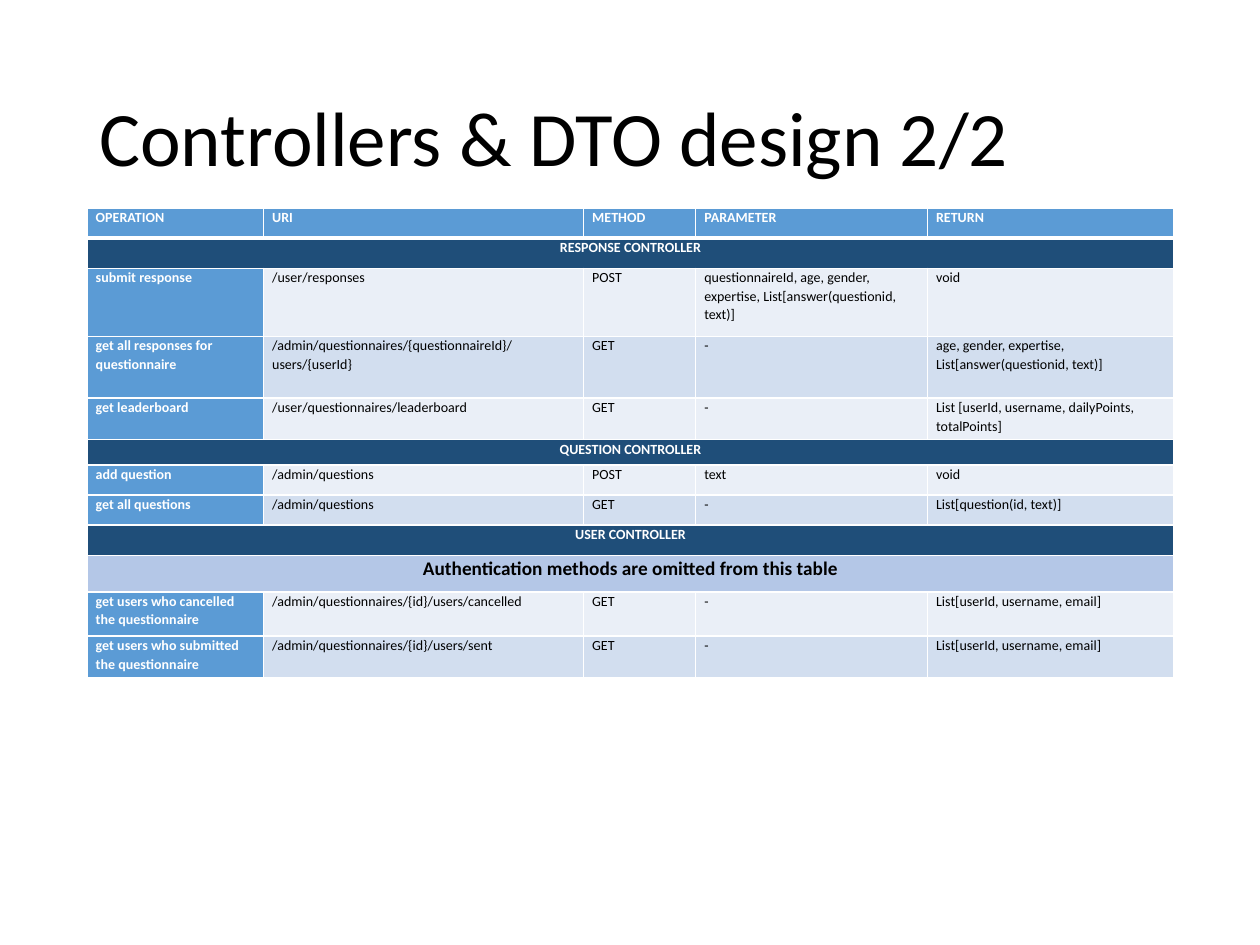
from lxml import etree
from pptx import Presentation
from pptx.dml.color import RGBColor
from pptx.enum.text import MSO_ANCHOR, PP_ALIGN
from pptx.oxml.ns import qn
from pptx.util import Inches, Pt

LEFT, CENTER = PP_ALIGN.LEFT, PP_ALIGN.CENTER
MIDDLE = MSO_ANCHOR.MIDDLE

BLACK = RGBColor(0x00, 0x00, 0x00)
WHITE = RGBColor(0xFF, 0xFF, 0xFF)
BLUE = RGBColor(0x5B, 0x9B, 0xD5)
NAVY = RGBColor(0x1F, 0x4E, 0x79)
NOTE_BLUE = RGBColor(0xB4, 0xC7, 0xE7)
BANDS = (RGBColor(0xEA, 0xEF, 0xF7), RGBColor(0xD2, 0xDE, 0xEF))

COLUMN_WIDTHS = (1.4, 2.54, 0.89, 1.84, 1.96)
HEADERS = ("OPERATION", "URI", "METHOD", "PARAMETER", "RETURN")
HEADER_HEIGHT = 0.24
NOTE = "Authentication methods are omitted from this table"

# Each section: title, title height, note (text, height) or None, operations (height, cells)
SECTIONS = (
    ("RESPONSE CONTROLLER", 0.24, None, (
        (0.54, ("submit response", "/user/responses", "POST",
                "questionnaireId, age, gender, expertise, List[answer(questionid, text)]", "void")),
        (0.49, ("get all responses for questionnaire",
                "/admin/questionnaires/{questionnaireId}/ users/{userId}", "GET", "-",
                "age, gender, expertise, List[answer(questionid, text)]")),
        (0.33, ("get leaderboard", "/user/questionnaires/leaderboard", "GET", "-",
                "List [userId, username, dailyPoints, totalPoints]")),
    )),
    ("QUESTION CONTROLLER", 0.2, None, (
        (0.24, ("add question", "/admin/questions", "POST", "text", "void")),
        (0.24, ("get all questions", "/admin/questions", "GET", "-", "List[question(id, text)]")),
    )),
    ("USER CONTROLLER", 0.24, (NOTE, 0.29), (
        (0.35, ("get users who cancelled the questionnaire",
                "/admin/questionnaires/{id}/users/cancelled", "GET", "-",
                "List[userId, username, email]")),
        (0.33, ("get users who submitted the questionnaire",
                "/admin/questionnaires/{id}/users/sent", "GET", "-",
                "List[userId, username, email]")),
    )),
)


class SlideBuilder:
    """Holds the text style and the current page."""

    font_name = "Calibri"

    def __init__(self, page):
        self.page = page

    def style(self, para, size, color, bold=False, align=LEFT):
        para.alignment = align
        para.font.name = self.font_name
        para.font.size = Pt(size)
        para.font.bold = bold
        para.font.color.rgb = color

    def title(self, text, left, top, width, height):
        box = self.page.shapes.add_textbox(
            Inches(left), Inches(top), Inches(width), Inches(height))
        frame = box.text_frame
        frame.word_wrap = True
        frame.vertical_anchor = MIDDLE
        para = frame.paragraphs[0]
        para.text = text
        para.line_spacing = 0.9
        self.style(para, 44, BLACK)

    def table(self, left, top, widths, heights):
        frame = self.page.shapes.add_table(
            len(heights), len(widths), Inches(left), Inches(top),
            Inches(sum(widths)), Inches(sum(heights)))
        table = frame.table
        for column, width in zip(table.columns, widths):
            column.width = Inches(width)
        for row, height in zip(table.rows, heights):
            row.height = Inches(height)
        return table

    def borders(self, cell, top, bottom):
        properties = cell._tc.get_or_add_tcPr()
        for side, width in (("L", 1), ("R", 1), ("T", top), ("B", bottom)):
            line = etree.SubElement(properties, qn(f"a:ln{side}"), w=str(Pt(width)))
            fill = etree.SubElement(line, qn("a:solidFill"))
            etree.SubElement(fill, qn("a:srgbClr"), val=str(WHITE))

    def cell(self, cell, text, fill, color=WHITE, size=8, bold=True,
             align=LEFT, top=1, bottom=1):
        cell.margin_left = cell.margin_right = Inches(0.07)
        cell.margin_top = cell.margin_bottom = 0
        self.borders(cell, top, bottom)
        cell.fill.solid()
        cell.fill.fore_color.rgb = fill
        para = cell.text_frame.paragraphs[0]
        para.text = text
        para.line_spacing = 1.07
        para.space_after = Pt(8)
        self.style(para, size, color, bold, align)

    def header_row(self, table, row, texts):
        for column, text in enumerate(texts):
            self.cell(table.cell(row, column), text, BLUE, bottom=3)

    def full_row(self, table, row, text, fill, **options):
        last = len(table.columns) - 1
        table.cell(row, 0).merge(table.cell(row, last))
        for column in range(last + 1):
            self.cell(table.cell(row, column), "" if column else text, fill,
                      align=CENTER, **options)

    def operation_row(self, table, row, texts, band):
        self.cell(table.cell(row, 0), texts[0], BLUE)
        for column, text in enumerate(texts[1:], start=1):
            self.cell(table.cell(row, column), text, band, BLACK, bold=False)


def row_heights():
    heights = [HEADER_HEIGHT]
    for _, title_height, note, operations in SECTIONS:
        heights.append(title_height)
        if note:
            heights.append(note[1])
        heights.extend(height for height, _ in operations)
    return heights


def main():
    deck = Presentation()
    deck.slide_width, deck.slide_height = Inches(10), Inches(7.5)
    builder = SlideBuilder(deck.slides.add_slide(deck.slide_layouts[6]))

    # Title
    builder.title("Controllers & DTO design 2/2", 0.69, 0.4, 8.62, 1.45)

    # Table of controllers, with bands restarting in each section
    table = builder.table(0.69, 1.65, COLUMN_WIDTHS, row_heights())
    builder.header_row(table, 0, HEADERS)
    row = 1
    for title, _, note, operations in SECTIONS:
        builder.full_row(table, row, title, NAVY, top=3 if row == 1 else 1)
        row += 1
        if note:
            builder.full_row(table, row, note[0], NOTE_BLUE, color=BLACK, size=11)
            row += 1
        for index, (_, texts) in enumerate(operations):
            builder.operation_row(table, row, texts, BANDS[index % 2])
            row += 1

    deck.save("out.pptx")


if __name__ == "__main__":
    main()
